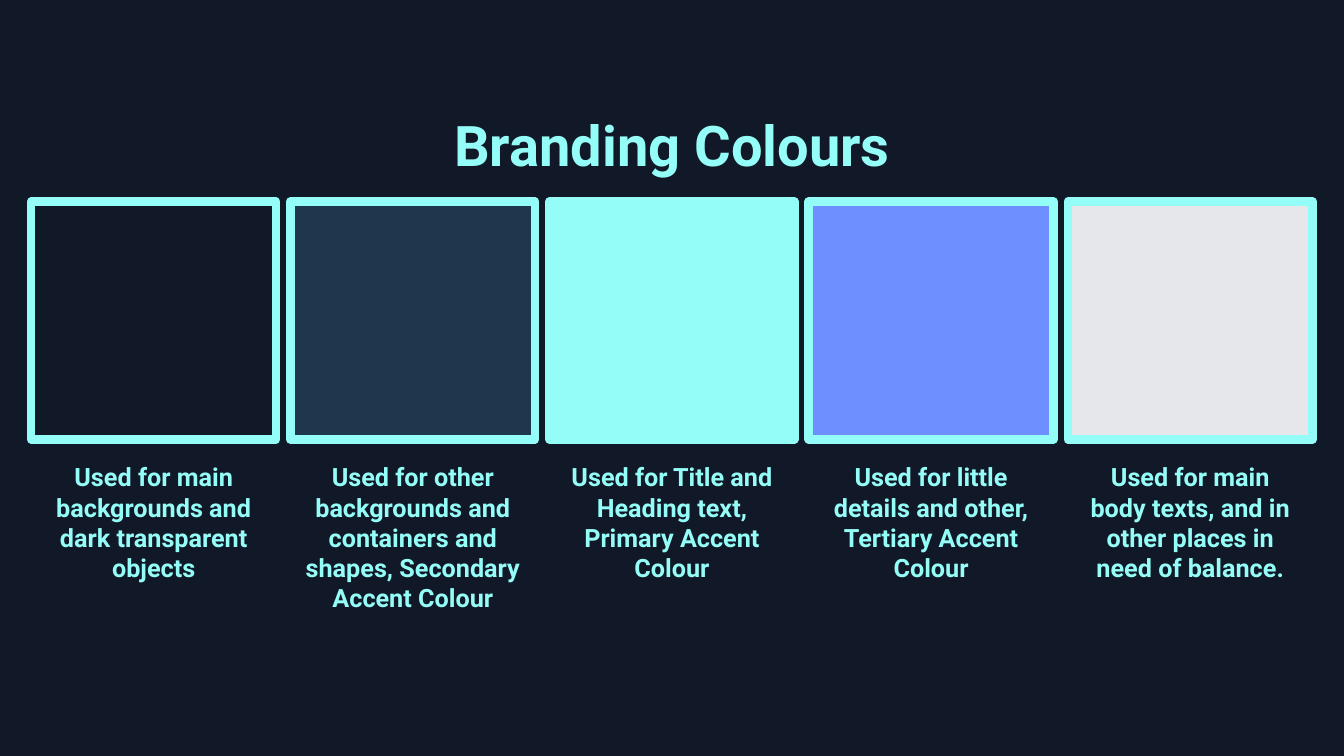
from pptx import Presentation
from pptx.dml.color import RGBColor
from pptx.enum.shapes import MSO_SHAPE
from pptx.enum.text import MSO_ANCHOR, MSO_AUTO_SIZE, PP_ALIGN
from pptx.util import Pt

EMU_PER_PX = 9144
NAVY = RGBColor(0x11, 0x18, 0x27)
SLATE = RGBColor(0x1E, 0x37, 0x4D)
AQUA = RGBColor(0x94, 0xFD, 0xF8)
PERIWINKLE = RGBColor(0x6D, 0x8F, 0xFF)
PALE_GREY = RGBColor(0xE5, 0xE7, 0xEB)

PALETTE = [
    (NAVY, "Used for main backgrounds and dark transparent objects", 131),
    (SLATE, "Used for other backgrounds and containers and shapes, "
            "Secondary Accent Colour", 192),
    (AQUA, "Used for Title and Heading text, Primary Accent Colour", 131),
    (PERIWINKLE, "Used for little details and other, Tertiary Accent Colour", 131),
    (PALE_GREY, "Used for main body texts, and in other places in need of balance.", 131),
]
FIRST_LEFT, PITCH = 31, 257
SWATCH_TOP, SWATCH_WIDTH, SWATCH_HEIGHT = 200, 243, 236
CAPTION_TOP, CAPTION_WIDTH, CAPTION_INSET = 453, 233, 5


def px(*lengths):
    return [length * EMU_PER_PX for length in lengths]


class BrandSlide:
    font_name = "Roboto"
    accent = AQUA

    def __init__(self, presentation, background):
        self.slide = presentation.slides.add_slide(presentation.slide_layouts[5])
        self.slide.background.fill.solid()
        self.slide.background.fill.fore_color.rgb = background

    def set_text(self, frame, text, size):
        frame.word_wrap = True
        frame.auto_size = MSO_AUTO_SIZE.SHAPE_TO_FIT_TEXT
        frame.vertical_anchor = MSO_ANCHOR.TOP
        frame.text = text
        paragraph = frame.paragraphs[0]
        paragraph.alignment = PP_ALIGN.CENTER
        paragraph.font.name = self.font_name
        paragraph.font.size = Pt(size)
        paragraph.font.bold = True
        paragraph.font.color.rgb = self.accent

    def title(self, text, left, top, width, height):
        heading = self.slide.shapes.title
        heading.left, heading.top, heading.width, heading.height = px(
            left, top, width, height)
        self.set_text(heading.text_frame, text, 40)

    def swatch(self, colour, left, top, width, height):
        square = self.slide.shapes.add_shape(
            MSO_SHAPE.RECTANGLE, *px(left, top, width, height))
        square.shadow.inherit = False
        square.fill.solid()
        square.fill.fore_color.rgb = colour
        square.line.color.rgb = self.accent
        square.line.width = Pt(6)

    def caption(self, text, left, top, width, height):
        usage = self.slide.shapes.add_textbox(*px(left, top, width, height))
        self.set_text(usage.text_frame, text, 18)


def main():
    presentation = Presentation()
    presentation.slide_width, presentation.slide_height = px(1333, 750)
    branding = BrandSlide(presentation, NAVY)
    branding.title("Branding Colours", 212, 105, 909, 77)
    for index, (colour, usage, caption_height) in enumerate(PALETTE):
        left = FIRST_LEFT + index * PITCH
        branding.swatch(colour, left, SWATCH_TOP, SWATCH_WIDTH, SWATCH_HEIGHT)
        branding.caption(usage, left + CAPTION_INSET, CAPTION_TOP,
                         CAPTION_WIDTH, caption_height)
    presentation.save("out.pptx")


if __name__ == "__main__":
    main()
